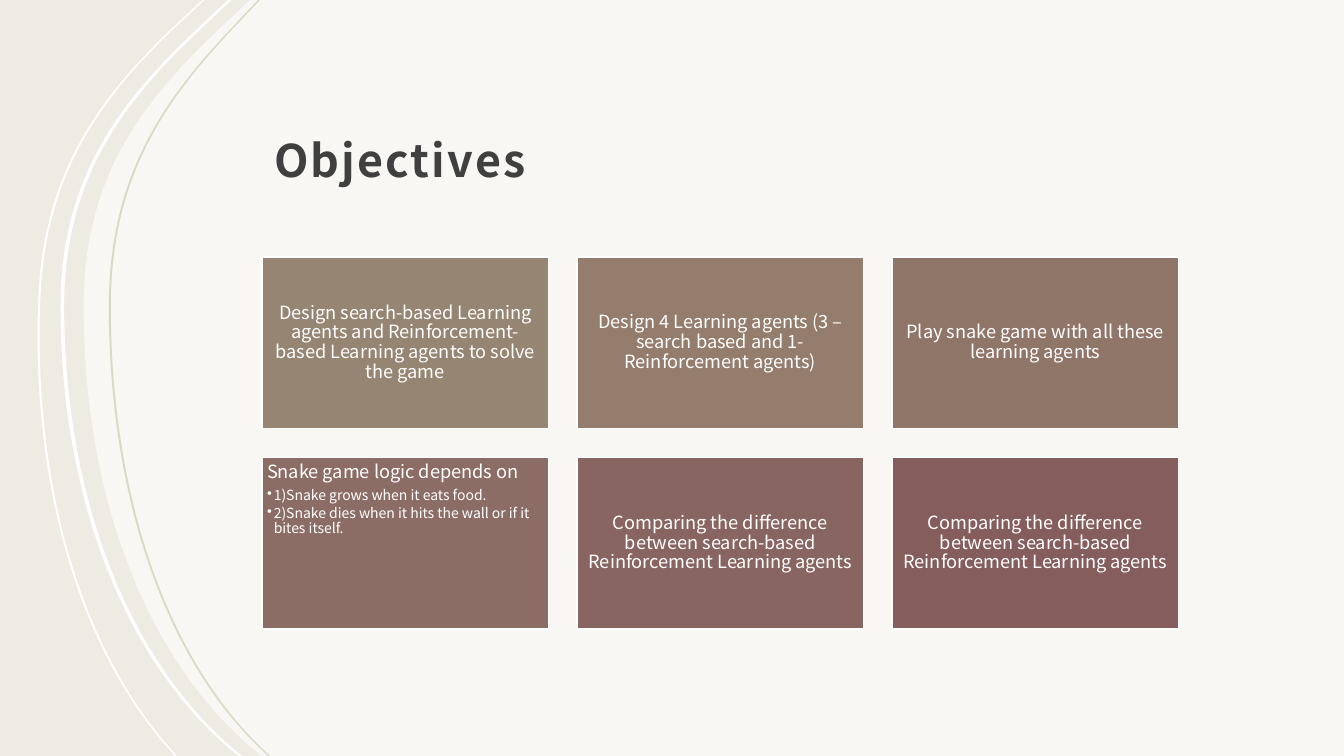
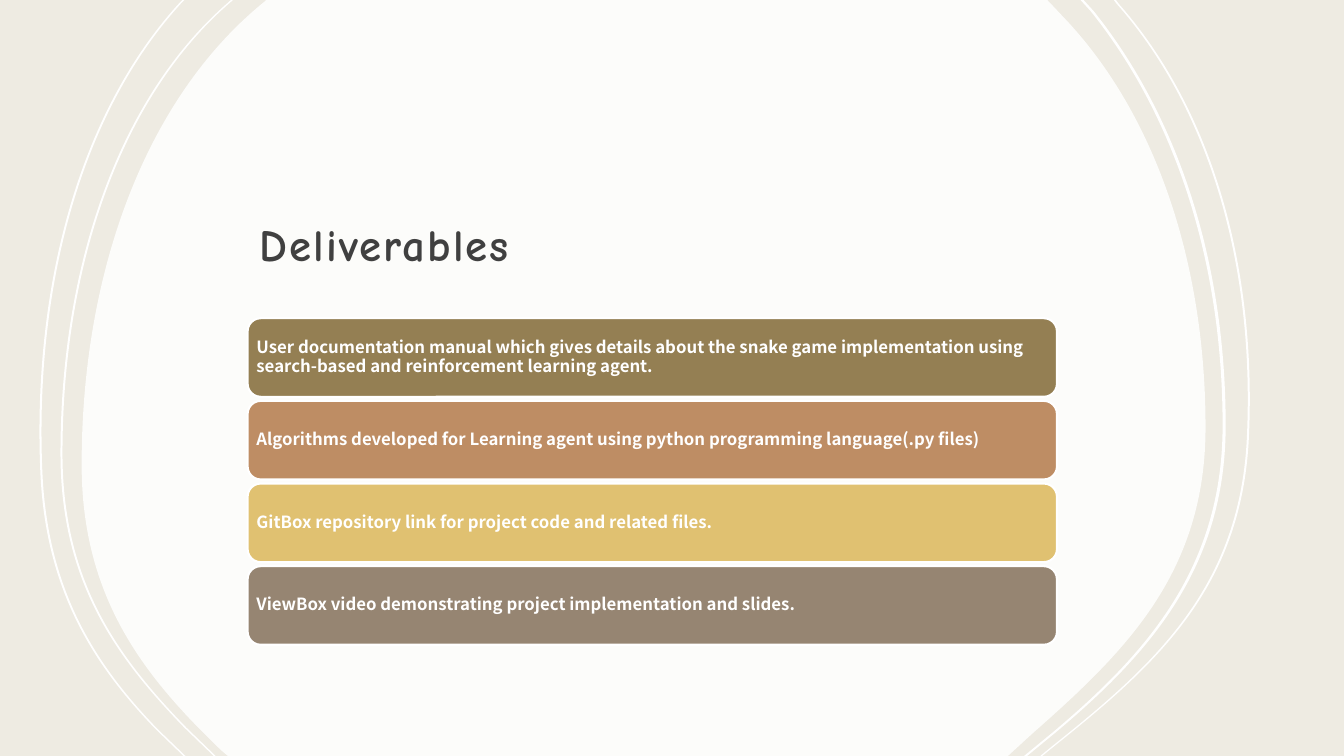
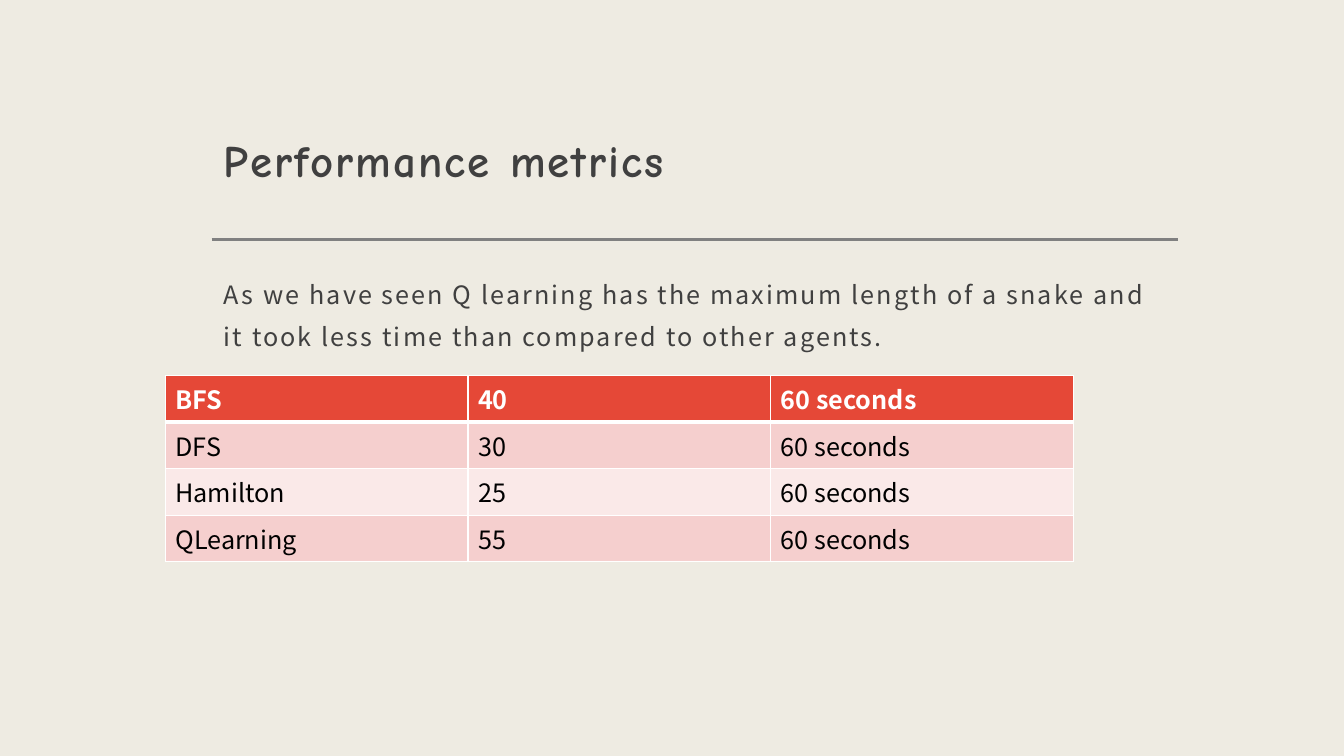
"""Build three slides on search and learning agents for a snake game."""
from lxml.etree import SubElement as add_element
from pptx import Presentation
from pptx.dml.color import RGBColor
from pptx.enum.shapes import MSO_CONNECTOR as Connector, MSO_SHAPE as Shape
from pptx.enum.text import MSO_ANCHOR as Anchor, MSO_AUTO_SIZE as AutoSize, PP_ALIGN as Align
from pptx.oxml.ns import qn
from pptx.util import Inches, Pt

WHITE = RGBColor(0xFF, 0xFF, 0xFF)
BLACK = RGBColor(0x00, 0x00, 0x00)
IVORY = RGBColor(0xEE, 0xEB, 0xE2)
SAND = RGBColor(0xDD, 0xD7, 0xC5)
CHARCOAL = RGBColor(0x40, 0x40, 0x40)
GRAY = RGBColor(0x80, 0x80, 0x80)
TAUPE = RGBColor(0x96, 0x85, 0x72)
RED = RGBColor(0xE5, 0x48, 0x37)
PINK = RGBColor(0xF5, 0xCF, 0xCE)
PALE_PINK = RGBColor(0xFA, 0xE9, 0xE8)
CARD_COLORS = [
    TAUPE, RGBColor(0x94, 0x7D, 0x6D), RGBColor(0x90, 0x75, 0x69),
    RGBColor(0x8C, 0x6D, 0x65), RGBColor(0x89, 0x65, 0x61), RGBColor(0x85, 0x5D, 0x5D),
]
BAR_COLORS = [
    RGBColor(0x94, 0x7F, 0x53), RGBColor(0xBE, 0x8D, 0x64), RGBColor(0xE0, 0xC1, 0x71), TAUPE,
]

SANS = "Noto Sans CJK JP"
COMIC = "Comic Neue"
COLUMNS, ROWS = 80, 45

OBJECTIVES_EDGE = [(14.88, 0), (12.66, 2.1), (8.34, 6.24), (4.98, 10.74), (4.98, 18.24),
                   (4.98, 29.52), (8.7, 39.42), (15.42, 44.88), (15.54, 45)]
OBJECTIVES_RIBBONS = [
    ([(12.06, 0), (10.5, 1.44), (6.12, 5.58), (2.58, 10.08), (2.28, 17.82),
      (1.86, 28.8), (4.68, 38.7), (10.26, 44.82), (10.38, 45)], 0.12, WHITE),
    ([(13.56, 0), (11.34, 2.1), (7.02, 6.24), (3.6, 10.74), (3.6, 18.24),
      (3.6, 29.52), (7.38, 39.42), (14.04, 44.88), (14.22, 45)], 0.22, WHITE),
    ([(15.36, 0), (13.38, 2.1), (9.54, 6.24), (6.48, 10.74), (6.48, 18.24),
      (6.48, 29.52), (9.84, 39.42), (15.84, 44.88), (15.96, 45)], 0.12, SAND),
]
DELIVERABLES_LEFT = [(15.84, 0), (15.72, 0.12), (8.76, 5.76), (4.86, 16.02), (4.86, 27.66),
                     (4.86, 35.58), (8.58, 40.26), (13.14, 44.64), (13.56, 45)]
DELIVERABLES_RIGHT = [(62.34, 0), (63.36, 1.08), (68.76, 6.78), (71.76, 15.6), (71.76, 25.44),
                      (71.76, 34.14), (66.96, 38.82), (61.44, 43.68), (60, 45)]
DELIVERABLES_RIBBONS = [
    ([(10.86, 0), (10.68, 0.18), (4.86, 6.54), (1.92, 16.74), (2.4, 28.08),
      (2.7, 35.1), (5.52, 39.54), (9.3, 43.44), (10.92, 45)], 0.12, WHITE),
    ([(13.74, 0), (13.62, 0.12), (7.2, 5.64), (3.6, 15.6), (3.6, 27),
      (3.6, 34.56), (6.84, 39.06), (10.98, 43.32), (12.72, 45)], 0.12, WHITE),
    ([(66.3, 0), (66.48, 0.24), (71.94, 6.42), (74.7, 15.72), (74.22, 26.04),
      (73.8, 35.1), (68.58, 39.66), (62.58, 44.46), (61.92, 45)], 0.12, WHITE),
    ([(64.32, 0), (64.92, 0.66), (70.02, 7.02), (72.78, 15.72), (72.78, 25.32),
      (72.78, 33.78), (68.28, 38.88), (62.64, 43.62), (60.96, 45)], 0.18, WHITE),
]

COMPARISON = "Comparing the difference between search-based Reinforcement Learning agents"
OBJECTIVES = [
    ["Design search-based Learning agents and Reinforcement-based Learning agents to solve the game"],
    ["Design 4 Learning agents (3 – search based and 1- Reinforcement agents)"],
    ["Play snake game with all these learning agents"],
    ["Snake game logic depends on", "1)Snake grows when it eats food.",
     "2)Snake dies when it hits the wall or if it bites itself."],
    [COMPARISON],
    [COMPARISON],
]
DELIVERABLES = [
    "User documentation manual which gives details about the snake game implementation "
    "using search-based and reinforcement learning agent.",
    "Algorithms developed for Learning agent using python programming language(.py files)",
    "GitBox repository link for project code and related files.",
    "ViewBox video demonstrating project implementation and slides.",
]
METRICS = [
    ("BFS", "40", "60 seconds"),
    ("DFS", "30", "60 seconds"),
    ("Hamilton", "25", "60 seconds"),
    ("QLearning", "55", "60 seconds"),
]


class Deck:
    """Hold the shared style and the current slide, and draw on a grid of columns and rows."""

    def __init__(self):
        self.presentation = Presentation()
        self.presentation.slide_width = Inches(40 / 3)
        self.presentation.slide_height = Inches(7.5)
        background = self.presentation.slide_master.background.fill
        background.solid()
        background.fore_color.rgb = IVORY
        self.slide = None

    def across(self, columns):
        """Return the length of a number of columns."""
        return int(self.presentation.slide_width * columns / COLUMNS)

    def down(self, rows):
        """Return the length of a number of rows."""
        return int(self.presentation.slide_height * rows / ROWS)

    def box(self, left, top, width, height):
        """Return a grid box as slide lengths."""
        return self.across(left), self.down(top), self.across(width), self.down(height)

    def add_slide(self, layout_index):
        """Start a slide from a template layout."""
        layout = self.presentation.slide_layouts[layout_index]
        self.slide = self.presentation.slides.add_slide(layout)

    def format_runs(self, paragraph, size, color, font=SANS, bold=False, tracking=0):
        """Format every run of a paragraph."""
        for run in paragraph.runs:
            run.font.name = font
            run.font.size = Pt(size)
            run.font.bold = bold
            run.font.color.rgb = color
            if tracking:
                run.font._element.set("spc", str(int(tracking * 100)))

    def set_margins(self, text_frame, side, bottom):
        """Set equal margins on three sides and another at the bottom."""
        text_frame.margin_left = text_frame.margin_right = self.across(side)
        text_frame.margin_top = self.down(side)
        text_frame.margin_bottom = self.down(bottom)

    def indent(self, paragraph, hanging=0, bullet=None):
        """Set the hanging indent and the bullet of a paragraph."""
        properties = paragraph._p.get_or_add_pPr()
        properties.set("marL", str(self.across(hanging)))
        properties.set("indent", str(-self.across(hanging)))
        if bullet:
            add_element(properties, qn("a:buChar")).set("char", bullet)
        else:
            add_element(properties, qn("a:buNone"))

    def fill_placeholder(self, placeholder, text, box, anchor, spacing, **run_style):
        """Move a placeholder to the front, write its text and format it."""
        self.slide.shapes._spTree.append(placeholder._element)
        placeholder.left, placeholder.top, placeholder.width, placeholder.height = self.box(*box)
        text_frame = placeholder.text_frame
        text_frame.text = text
        text_frame.auto_size = AutoSize.NONE
        text_frame.vertical_anchor = anchor
        self.set_margins(text_frame, 0.72, 0.6)
        paragraph = text_frame.paragraphs[0]
        paragraph.alignment = Align.LEFT
        paragraph.line_spacing = spacing
        self.format_runs(paragraph, color=CHARCOAL, tracking=1.5, **run_style)
        return paragraph

    def title(self, text, box, font=COMIC):
        """Write the slide title."""
        self.fill_placeholder(self.slide.shapes.title, text, box, Anchor.BOTTOM, 1.3,
                              size=32, font=font, bold=True)

    def body(self, text, box):
        """Write the body text without a bullet."""
        paragraph = self.fill_placeholder(self.slide.placeholders[1], text, box,
                                          Anchor.TOP, 1.4, size=18)
        paragraph.space_before = Pt(9.3)
        self.indent(paragraph)

    def bend(self, shape, edge_start):
        """Turn the six inner segments of a nine-point edge into two Bezier curves."""
        drawing = next(shape._element.iter(qn("a:path")))
        segments = [point.getparent() for point in drawing.iter(qn("a:pt"))]
        for first in (edge_start + 2, edge_start + 5):
            curve = add_element(drawing, qn("a:cubicBezTo"))
            segments[first].addprevious(curve)
            for segment in segments[first:first + 3]:
                curve.append(segment[0])
                drawing.remove(segment)

    def outline(self, edge, far_side, color, opacity=100):
        """Fill the area between a curved edge and corners or a second curved edge."""
        corners = [(self.across(x), self.down(y)) for x, y in edge + far_side]
        builder = self.slide.shapes.build_freeform(*corners[0], scale=1.0)
        builder.add_line_segments(corners[1:], close=True)
        shape = builder.convert_to_shape()
        shape.shadow.inherit = False
        shape.fill.solid()
        shape.fill.fore_color.rgb = color
        shape.line.fill.background()
        if len(far_side) == len(edge):
            self.bend(shape, len(edge))
        self.bend(shape, 0)
        if opacity < 100:
            tint = shape._element.spPr.find(qn("a:solidFill"))[0]
            add_element(tint, qn("a:alpha")).set("val", str(opacity * 1000))

    def ribbons(self, ribbons):
        """Draw thin curved ribbons, each an edge and its shifted return."""
        for edge, width, color in ribbons:
            self.outline(edge, [(x + width, y) for x, y in reversed(edge)], color)

    def panel(self, kind, box, color, lines, size, line_width, margin,
              alignment=Align.LEFT, anchor=Anchor.MIDDLE, bold=False):
        """Draw a filled panel with a lead line and optional bullets below it."""
        shape = self.slide.shapes.add_shape(kind, *self.box(*box))
        shape.shadow.inherit = False
        shape.fill.solid()
        shape.fill.fore_color.rgb = color
        shape.line.color.rgb = WHITE
        shape.line.width = Pt(line_width)
        text_frame = shape.text_frame
        text_frame.text = "\n".join(lines)
        text_frame.word_wrap = True
        text_frame.vertical_anchor = anchor
        self.set_margins(text_frame, margin, margin)
        for index, paragraph in enumerate(text_frame.paragraphs):
            paragraph.alignment = alignment
            paragraph.line_spacing = 0.9
            paragraph.space_after = Pt(1.8 if index else 4.5)
            if index:
                self.indent(paragraph, 0.4, "•")
            self.format_runs(paragraph, 10 if index else size, WHITE, bold=bold)

    def rule(self, left, right, row):
        """Draw a horizontal rule."""
        y = self.down(row)
        line = self.slide.shapes.add_connector(Connector.STRAIGHT, self.across(left), y,
                                               self.across(right), y)
        line.line.color.rgb = GRAY
        line.line.width = Pt(2)
        add_element(line._element.spPr, qn("a:effectLst"))

    def border(self, cell, is_header):
        """Give a cell white borders, heavier below the header."""
        properties = cell._tc.get_or_add_tcPr()
        for side in "LRTB":
            width = Pt(3 if is_header and side == "B" else 1)
            edge = add_element(properties, qn("a:ln" + side), w=str(width))
            fill = add_element(edge, qn("a:solidFill"))
            add_element(fill, qn("a:srgbClr"), val=str(WHITE))

    def table(self, rows, box):
        """Draw a table whose first row is a header above banded rows."""
        frame = self.slide.shapes.add_table(len(rows), len(rows[0]), *self.box(*box))
        for row_index, values in enumerate(rows):
            is_header = row_index == 0
            color = RED if is_header else (PALE_PINK, PINK)[row_index % 2]
            for column_index, value in enumerate(values):
                cell = frame.table.cell(row_index, column_index)
                self.border(cell, is_header)
                cell.fill.solid()
                cell.fill.fore_color.rgb = color
                cell.text_frame.text = value
                self.format_runs(cell.text_frame.paragraphs[0], 18,
                                 WHITE if is_header else BLACK, bold=is_header)

    def objectives_slide(self):
        """Build the slide of objective cards."""
        self.add_slide(5)
        self.outline(OBJECTIVES_EDGE, [(COLUMNS, ROWS), (COLUMNS, 0)], WHITE, 60)
        self.ribbons(OBJECTIVES_RIBBONS)
        self.title("Objectives", (15.6, 2.88, 55.08, 8.82), SANS)
        for index, (lines, color) in enumerate(zip(OBJECTIVES, CARD_COLORS)):
            row, column = divmod(index, 3)
            has_bullets = len(lines) > 1
            self.panel(Shape.RECTANGLE, (15.6 + 18.75 * column, 15.3 + 11.94 * row, 17.04, 10.2),
                       color, lines, 13, 1, 0.3,
                       alignment=Align.LEFT if has_bullets else Align.CENTER,
                       anchor=Anchor.TOP if has_bullets else Anchor.MIDDLE)

    def deliverables_slide(self):
        """Build the slide of deliverable bars."""
        self.add_slide(5)
        self.outline(DELIVERABLES_LEFT, DELIVERABLES_RIGHT[::-1], WHITE, 85)
        self.ribbons(DELIVERABLES_RIBBONS)
        self.title("Deliverables", (14.74, 5.86, 48.18, 10.86))
        for index, (text, color) in enumerate(zip(DELIVERABLES, BAR_COLORS)):
            self.panel(Shape.ROUNDED_RECTANGLE, (14.74, 18.94 + 4.92 * index, 48.18, 4.68),
                       color, [text], 12, 1.5, 0.3, bold=True)

    def metrics_slide(self):
        """Build the slide of performance metrics."""
        self.add_slide(1)
        self.rule(12.6, 70.14, 14.28)
        self.title("Performance metrics", (12.6, 2.88, 57.54, 8.82))
        self.body("As we have seen Q learning has the maximum length of a snake and "
                  "it took less time than compared to other agents.",
                  (12.6, 15.18, 57.54, 23.94))
        self.table(METRICS, (9.84, 22.35, 54.06, 9.6))


deck = Deck()
deck.objectives_slide()
deck.deliverables_slide()
deck.metrics_slide()
deck.presentation.save("out.pptx")
